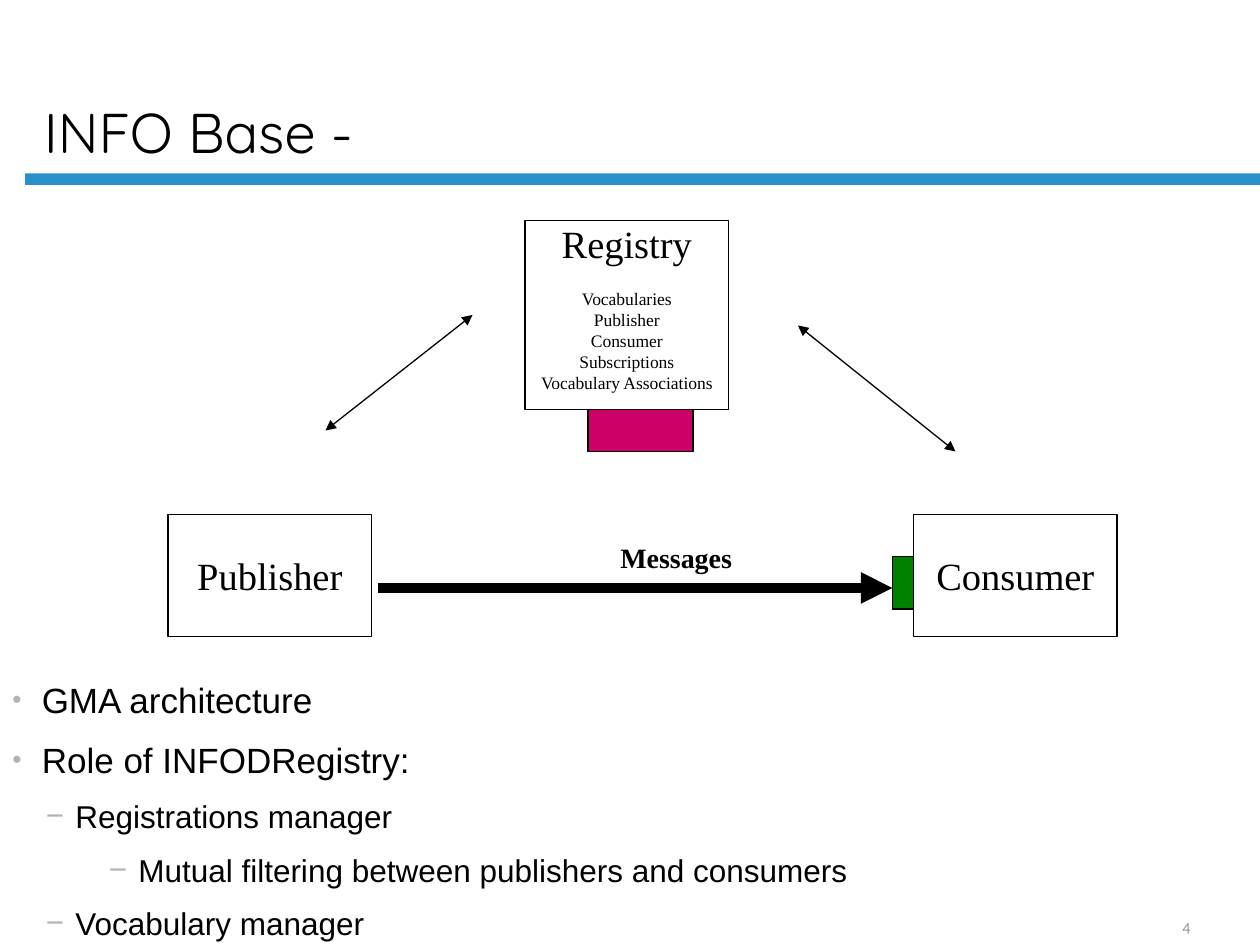
import pptx
import pptx.dml.color
import pptx.enum.shapes
import pptx.enum.text
import pptx.oxml
import pptx.oxml.ns
import pptx.util

PX = 7620
SERIF = "Times New Roman"
ALIGN = pptx.enum.text.PP_ALIGN
ANCHOR = pptx.enum.text.MSO_ANCHOR


def px(*lengths):
    """Turn px lengths into EMU."""
    return [length * PX for length in lengths]


def rgb(value):
    """Return a colour from a hex string."""
    return pptx.dml.color.RGBColor.from_string(value)


def element(tag, **attributes):
    """Make an empty DrawingML element."""
    el = pptx.oxml.parse_xml(f"<a:{tag} {pptx.oxml.ns.nsdecls('a')}/>")
    for name, value in attributes.items():
        el.set(name, str(value))
    return el


def format_paragraph(p, size, font, color="000000", bold=False):
    """Set the font of every run in a paragraph."""
    for r in p.runs:
        r.font.size = pptx.util.Pt(size)
        r.font.name = font
        r.font.bold = bold
        r.font.color.rgb = rgb(color)


def add_rect(s, box, fill=None, line="000000"):
    """Add a rectangle with an optional fill and outline."""
    sp = s.shapes.add_shape(pptx.enum.shapes.MSO_SHAPE.RECTANGLE, *px(*box))
    sp.shadow.inherit = False
    if fill:
        sp.fill.solid()
        sp.fill.fore_color.rgb = rgb(fill)
    else:
        sp.fill.background()
    if line:
        sp.line.color.rgb = rgb(line)
        sp.line.width = pptx.util.Pt(0.75)
    else:
        sp.line.fill.background()
    return sp


def add_node(s, box, name, details=()):
    """Add an outlined node with a name and small detail lines."""
    tf = add_rect(s, box).text_frame
    tf.word_wrap = False
    tf.margin_top = tf.margin_bottom = 0
    tf.vertical_anchor = ANCHOR.TOP if details else ANCHOR.MIDDLE
    tf.text = "\n".join([name, *details])
    for i, p in enumerate(tf.paragraphs):
        p.alignment = ALIGN.CENTER
        format_paragraph(p, 10 if i else 22, SERIF)
    if details:
        tf.paragraphs[1].space_before = pptx.util.Pt(12)


def add_arrow(s, start, end, width=0.75, both=False):
    """Add a straight arrow with a head at one or both ends."""
    cx = s.shapes.add_connector(
        pptx.enum.shapes.MSO_CONNECTOR.STRAIGHT, *px(*start, *end))
    cx.line.color.rgb = rgb("000000")
    cx.line.width = pptx.util.Pt(width)
    ln = cx.line._get_or_add_ln()
    for tag in ("headEnd", "tailEnd") if both else ("tailEnd",):
        ln.append(element(tag, type="triangle"))
    cx._element.spPr.append(element("effectLst"))


def add_text(s, box, text, size, font, color="000000", bold=False,
             anchor=ANCHOR.TOP, align=ALIGN.LEFT, wrap=True):
    """Add a text box with one paragraph."""
    tf = s.shapes.add_textbox(*px(*box)).text_frame
    tf.word_wrap = wrap
    tf.vertical_anchor = anchor
    tf.text = text
    p = tf.paragraphs[0]
    p.alignment = align
    format_paragraph(p, size, font, color, bold)
    return tf


def add_bullets(s, box, items):
    """Add a bulleted list of (level, text) items."""
    tf = s.shapes.add_textbox(*px(*box)).text_frame
    tf.word_wrap = True
    tf.text = "\n".join(text for level, text in items)
    for i, (p, (level, text)) in enumerate(zip(tf.paragraphs, items)):
        p.level = level
        p.line_spacing = 0.8
        p.space_before = pptx.util.Pt((11.2 if level else 12.5) if i else 0)
        p.space_after = pptx.util.Pt(2.2 if level else 2.5)
        pPr = p._p.get_or_add_pPr()
        margin = 60 * level if level else 28
        pPr.set("marL", str(margin * PX))
        pPr.set("indent", str(-28 * PX))
        color = element("buClr")
        color.append(element("srgbClr", val="B2B3B5"))
        pPr.append(color)
        pPr.append(element("buSzPct", val=100000 if level else 75000))
        pPr.append(element("buFont", typeface="Arial"))
        pPr.append(element("buChar", char="−" if level else "•"))
        format_paragraph(p, 18 if level else 20, "Arial")


def main():
    """Build the slide and save it."""
    prs = pptx.Presentation()
    prs.slide_width, prs.slide_height = px(1200, 900)
    s = prs.slides.add_slide(prs.slide_layouts[6])

    add_rect(s, (24, 165, 1176, 11), "2990CA", None)
    title = add_text(s, (30, 14, 1027, 150), "INFO Base -", 32, "Quicksand",
                     anchor=ANCHOR.BOTTOM)
    title.paragraphs[0].line_spacing = 0.9

    add_node(s, (160, 490, 194, 116), "Publisher")
    add_node(s, (870, 490, 194, 116), "Consumer")
    add_node(s, (500, 210, 194, 180), "Registry",
             ["Vocabularies", "Publisher", "Consumer", "Subscriptions",
              "Vocabulary Associations"])
    add_rect(s, (850, 530, 20, 50), "008000")
    add_rect(s, (560, 390, 100, 40), "CC0066")

    add_arrow(s, (360, 560), (850, 560), 6)
    add_arrow(s, (310, 410), (450, 300), both=True)
    add_arrow(s, (760, 310), (910, 430), both=True)
    add_text(s, (579, 509, 130, 42), "Messages", 16, SERIF, bold=True,
             wrap=False)

    add_bullets(s, (0, 648, 1200, 256), [
        (0, "GMA architecture"),
        (0, "Role of INFODRegistry:"),
        (1, "Registrations manager"),
        (2, "Mutual filtering between publishers and consumers"),
        (1, "Vocabulary manager"),
    ])
    add_text(s, (1080, 870, 100, 29), "4", 9, "Quicksand", "848589",
             anchor=ANCHOR.BOTTOM, align=ALIGN.CENTER)
    prs.save("out.pptx")


if __name__ == "__main__":
    main()
